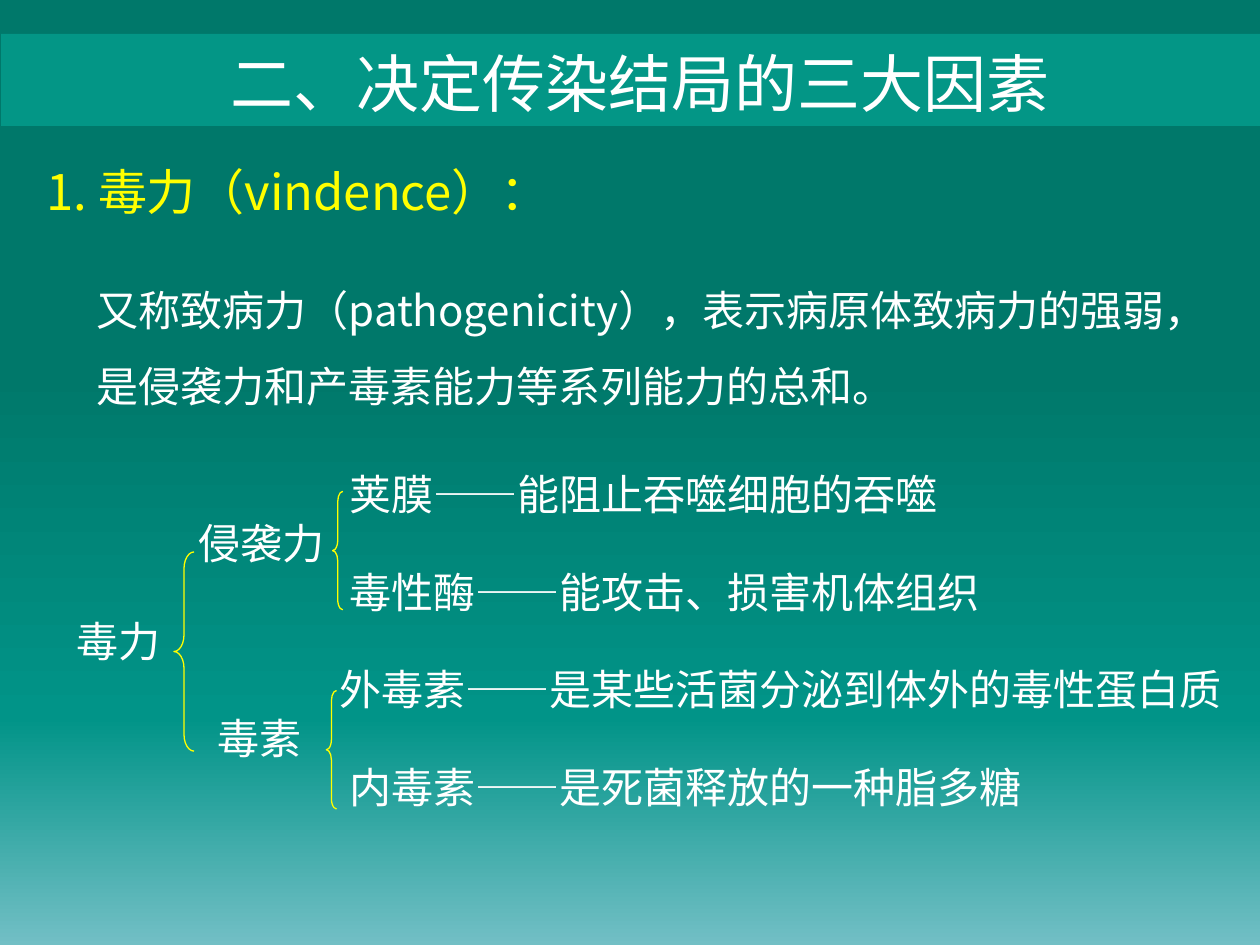
from dataclasses import dataclass

from lxml.etree import SubElement
from pptx import Presentation
from pptx.dml.color import RGBColor
from pptx.enum.shapes import MSO_SHAPE
from pptx.enum.text import PP_ALIGN
from pptx.oxml.ns import qn
from pptx.util import Pt


@dataclass(frozen=True)
class Theme:
    font: str = "Noto Sans CJK SC"
    white: str = "FFFFFF"
    accent: str = "FFFF00"
    band: str = "039686"
    gradient: tuple = ((0, "00786A"), (39, "00786A"), (76, "019488"), (100, "72BFC5"))
    title_size: int = 36
    heading_size: int = 28
    body_size: int = 24
    brace_line: float = 0.75


THEME = Theme()
WIDTH, HEIGHT = 720, 540

TITLE = "二、决定传染结局的三大因素"
HEADING = "1. 毒力（vindence）："
DEFINITION = "又称致病力（pathogenicity），表示病原体致病力的强弱，是侵袭力和产毒素能力等系列能力的总和。"

# Tree of virulence, one row each: left indent in points, wording
TREE = [
    (161.5, "荚膜——能阻止吞噬细胞的吞噬"),
    (75.3, "侵袭力"),
    (161.5, "毒性酶——能攻击、损害机体组织"),
    (5.4, "毒力"),
    (155.9, "外毒素——是某些活菌分泌到体外的毒性蛋白质"),
    (86, "毒素"),
    (161.5, "内毒素——是死菌释放的一种脂多糖"),
]

# Left, top, width, height, curve of each brace
BRACES = [
    (99.4, 315.4, 11.5, 113.8, 0.83),
    (190.1, 280.8, 5.8, 67.7, 1.01),
    (186.5, 394.6, 5.8, 67.7, 1.01),
]


def colour(value):
    return RGBColor.from_string(value)


def add_plain_shape(page, kind, left, top, width, height):
    shape = page.shapes.add_shape(kind, Pt(left), Pt(top), Pt(width), Pt(height))
    shape.shadow.inherit = False
    shape.line.fill.background()
    return shape


def add_backdrop(page):
    shape = add_plain_shape(page, MSO_SHAPE.RECTANGLE, 0, 0, WIDTH, HEIGHT)
    shape.fill.gradient()
    shape.fill.gradient_angle = 270
    stops = shape.fill._fill._gradFill.find(qn("a:gsLst"))
    for stop in list(stops):
        stops.remove(stop)
    for percent, value in THEME.gradient:
        stop = SubElement(stops, qn("a:gs"), pos=str(percent * 1000))
        SubElement(stop, qn("a:srgbClr"), val=value)


def add_brace(page, left, top, width, height, curve):
    brace = add_plain_shape(page, MSO_SHAPE.LEFT_BRACE, left, top, width, height)
    brace.adjustments[0] = curve
    brace.fill.background()
    brace.line.color.rgb = colour(THEME.accent)
    brace.line.width = Pt(THEME.brace_line)


def add_text(page, rows, left, top, width, height, size=THEME.body_size,
             ink=THEME.white, align=PP_ALIGN.LEFT, spacing=1.0, gap=0, wrap=True):
    """Add a text box of (indent, wording) rows, with a gap between rows."""
    box = page.shapes.add_textbox(Pt(left), Pt(top), Pt(width), Pt(height))
    frame = box.text_frame
    frame.word_wrap = wrap
    for index, (indent, wording) in enumerate(rows):
        para = frame.add_paragraph() if index else frame.paragraphs[0]
        para.alignment = align
        para.line_spacing = spacing
        if index:
            para.space_before = Pt(gap)
        para._p.get_or_add_pPr().set("marL", str(Pt(indent)))
        span = para.add_run()
        span.text = wording
        span.font.size = Pt(size)
        span.font.name = THEME.font
        span.font.color.rgb = colour(ink)
        SubElement(span.font._element, qn("a:ea"), typeface=THEME.font)


def main():
    deck = Presentation()
    deck.slide_width, deck.slide_height = Pt(WIDTH), Pt(HEIGHT)
    page = deck.slides.add_slide(deck.slide_layouts[6])

    add_backdrop(page)
    add_text(page, [(0, HEADING)], 19.4, 88.6, 309.6, 41,
             size=THEME.heading_size, ink=THEME.accent, wrap=False)
    add_text(page, [(0, DEFINITION)], 48.2, 144.7, 671.8, 90, spacing=1.5)
    add_text(page, TREE, 31, 270, 689, 218.9, spacing=0.8,
             gap=0.2 * THEME.body_size)
    for brace in BRACES:
        add_brace(page, *brace)

    band = add_plain_shape(page, MSO_SHAPE.RECTANGLE, 0.7, 19.4, WIDTH, 52.6)
    band.fill.solid()
    band.fill.fore_color.rgb = colour(THEME.band)
    add_text(page, [(0, TITLE)], 0.7, 22, 730, 51.1,
             size=THEME.title_size, align=PP_ALIGN.CENTER)
    deck.save("out.pptx")


if __name__ == "__main__":
    main()
